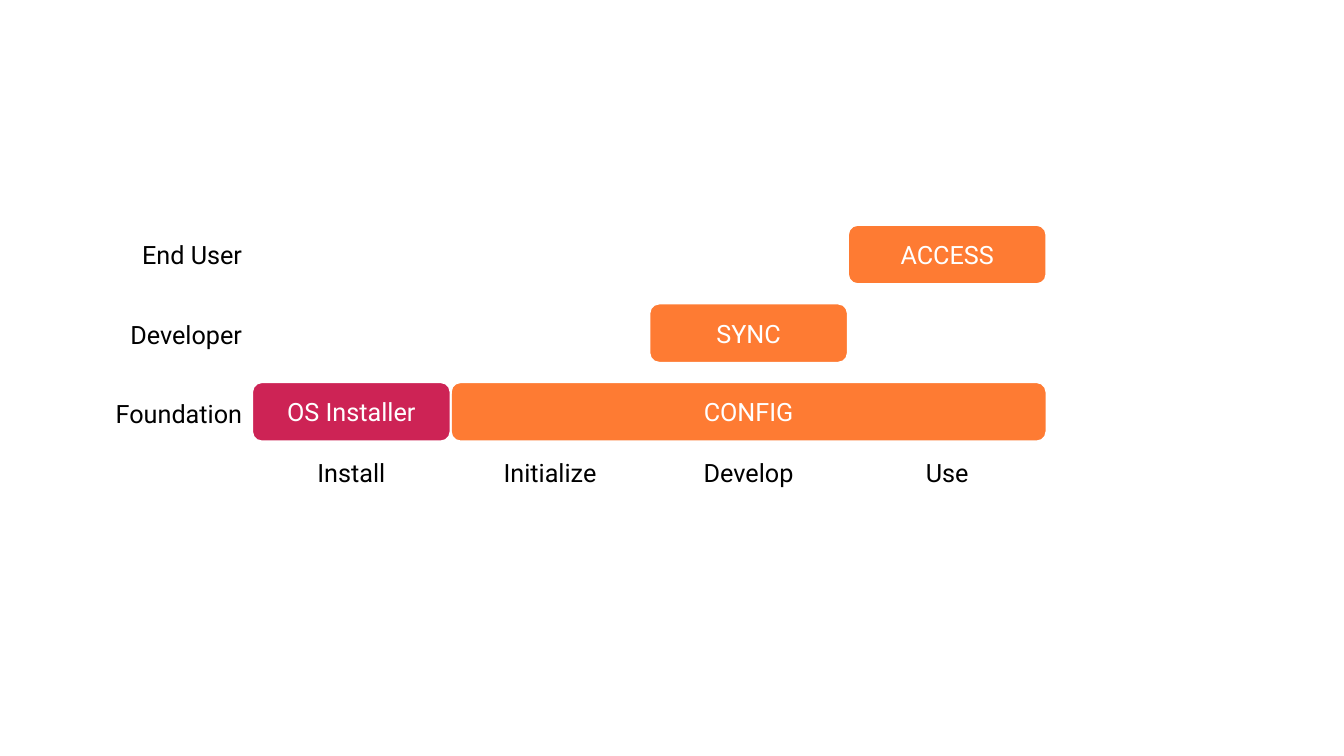
from pptx import Presentation
from pptx.dml.color import RGBColor
from pptx.enum.shapes import MSO_SHAPE
from pptx.enum.text import MSO_ANCHOR, PP_ALIGN
from pptx.util import Inches, Pt

ROUND_RECT = MSO_SHAPE.ROUNDED_RECTANGLE
CENTER, RIGHT = PP_ALIGN.CENTER, PP_ALIGN.RIGHT
TOP, MIDDLE = MSO_ANCHOR.TOP, MSO_ANCHOR.MIDDLE
BLACK, WHITE, ORANGE, CRIMSON = "000000", "FFFFFF", "FE7B33", "CD2355"

# Grid, in inches
LEFT, COL_W = 2.5, 1.97
ROW_TOP, ROW_H = 2.13, 0.79
BOX_TOP, BOX_STEP, BOX_H = 2.23, 0.78, 0.59


def rgb(value):
    return RGBColor.from_string(value)


def write(shape, text, color, align, anchor):
    tf = shape.text_frame
    tf.word_wrap = True
    tf.vertical_anchor = anchor
    p = tf.paragraphs[0]
    p.alignment = align
    r = p.add_run()
    r.text = text
    for name, value in {"name": "Roboto", "size": Pt(18)}.items():
        setattr(r.font, name, value)
    r.font.color.rgb = rgb(color)


prs = Presentation()
prs.slide_width, prs.slide_height = Inches(13.33), Inches(7.5)
s = prs.slides.add_slide(prs.slide_layouts[6])

# Phase labels below the columns
for col, phase in enumerate(["Install", "Initialize", "Develop", "Use"]):
    label = s.shapes.add_textbox(Inches(LEFT + col * COL_W), Inches(4.49),
                                 Inches(COL_W), Inches(0.39))
    write(label, phase, BLACK, CENTER, TOP)

# Audience labels left of the rows
for row, audience in enumerate(["End User", "Developer", "Foundation"]):
    label = s.shapes.add_textbox(Inches(LEFT - COL_W), Inches(ROW_TOP + row * ROW_H),
                                 Inches(COL_W), Inches(ROW_H))
    write(label, audience, BLACK, RIGHT, MIDDLE)

# Tool boxes: text, column, row, columns spanned, fill
tools = [
    ("CONFIG", 1, 2, 3, ORANGE),
    ("SYNC", 2, 1, 1, ORANGE),
    ("ACCESS", 3, 0, 1, ORANGE),
    ("OS Installer", 0, 2, 1, CRIMSON),
]
for tool, col, row, span, fill in tools:
    box = s.shapes.add_shape(ROUND_RECT, Inches(LEFT + col * COL_W),
                             Inches(BOX_TOP + row * BOX_STEP),
                             Inches(span * COL_W), Inches(BOX_H))
    box.shadow.inherit = False
    box.fill.solid()
    box.fill.fore_color.rgb = rgb(fill)
    box.line.color.rgb = rgb(WHITE)
    box.line.width = Pt(1.5)
    write(box, tool, WHITE, CENTER, MIDDLE)

prs.save("out.pptx")
